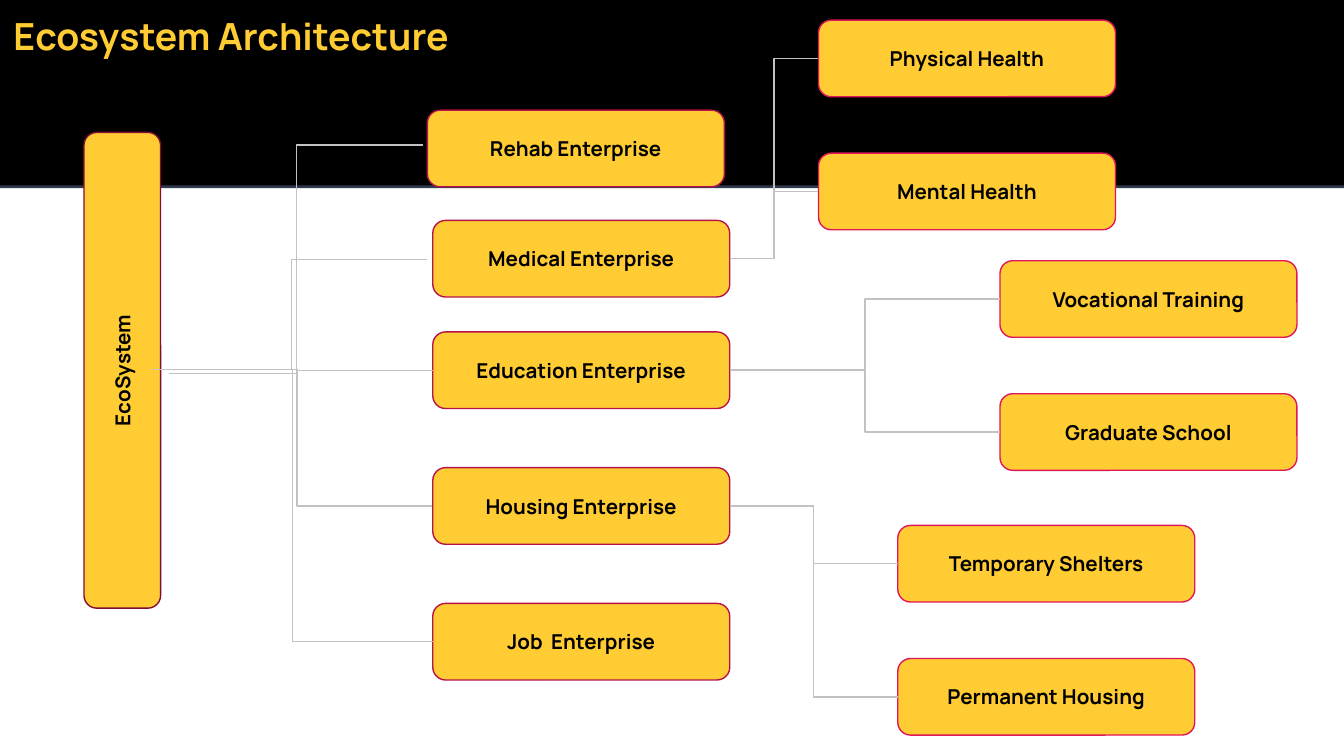
"""Build the ecosystem architecture slide."""
from dataclasses import dataclass

from lxml import etree
from pptx import Presentation
from pptx import util as u
from pptx.dml.color import RGBColor
from pptx.enum import shapes, text
from pptx.oxml import ns

PX = u.Inches(1) // 100
SPAN = 1000
WIDE, HIGH = 221, 57
STEP = 99
FONT = "Manrope"
GOLD = RGBColor(0xFF, 0xCC, 0x33)
BLACK = RGBColor(0x00, 0x00, 0x00)
NAVY = RGBColor(0x31, 0x39, 0x4D)
GREY = RGBColor(0xC2, 0xC2, 0xC2)
WINE = RGBColor(0x84, 0x0D, 0x35)
ROSE = RGBColor(0xB6, 0x12, 0x49)
PINK = RGBColor(0xE1, 0x16, 0x5A)


@dataclass(frozen=True)
class Box:
    label: str
    x: int
    y: int
    edge: RGBColor
    w: int = WIDE
    turn: int = 0


@dataclass(frozen=True)
class Link:
    x1: int
    y1: int
    x2: int
    y2: int
    goal: str = ""


TRUNK = Box("EcoSystem", -86, 247, WINE, 354, 270)
MAIN = [
    Box(f"{name} Enterprise", x, y, ROSE)
    for name, x, y in (
        ("Rehab", 318, 82),
        ("Medical", 322, 164),
        ("Education", 322, 247),
        ("Housing", 322, 348),
        ("Job ", 322, 449),
    )
]
PAIRS = {
    "Medical Enterprise": (609, 15, ("Physical Health", "Mental Health")),
    "Education Enterprise": (744, 194, ("Vocational Training", "Graduate School")),
    "Housing Enterprise": (668, 391, ("Temporary Shelters", "Permanent Housing")),
}
BACK = [
    Link(120, 275, 322, 376, "Housing Enterprise"),
    Link(116, 275, 318, 193),
]
FRONT = [
    Link(120, 275, 322, 275, "Education Enterprise"),
    Link(113, 275, 322, 477, "Job  Enterprise"),
    Link(126, 278, 315, 108),
]


def write(shape, words: str, *, size: int, color: RGBColor, align, anchor) -> None:
    """Put formatted bold text into a shape."""
    frame = shape.text_frame
    frame.word_wrap = True
    frame.auto_size = text.MSO_AUTO_SIZE.NONE
    frame.vertical_anchor = anchor
    for side in ("left", "right", "top", "bottom"):
        setattr(frame, f"margin_{side}", u.Inches(0.1))
    par = frame.paragraphs[0]
    par.alignment = align
    run = par.add_run()
    run.text = words
    font = run.font
    font.name, font.size, font.bold = FONT, u.Pt(size), True
    font.color.rgb = color


def paint(shape, color: RGBColor) -> None:
    """Give a shape a solid fill."""
    shape.fill.solid()
    shape.fill.fore_color.rgb = color


def head(slide) -> None:
    """Format the title over its band."""
    title = slide.shapes.title
    title.left, title.top, title.width, title.height = 0, 0, SPAN * PX, 138 * PX
    paint(title, BLACK)
    write(title, "Ecosystem Architecture", size=20, color=GOLD,
          align=text.PP_ALIGN.LEFT, anchor=text.MSO_ANCHOR.TOP)
    band = slide.shapes.add_shape(
        shapes.MSO_SHAPE.RECTANGLE, 0, 0, SPAN * PX, 140 * PX)
    band.shadow.inherit = False
    band.line.fill.background()
    paint(band, NAVY)
    title.element.addprevious(band.element)


def node(slide, box: Box):
    """Draw one rounded box and return it."""
    shape = slide.shapes.add_shape(
        shapes.MSO_SHAPE.ROUNDED_RECTANGLE,
        box.x * PX, box.y * PX, box.w * PX, HIGH * PX)
    shape.shadow.inherit = False
    shape.rotation = box.turn
    paint(shape, GOLD)
    shape.line.color.rgb = box.edge
    shape.line.width = u.Pt(0.75)
    write(shape, box.label, size=11, color=BLACK,
          align=text.PP_ALIGN.CENTER, anchor=text.MSO_ANCHOR.MIDDLE)
    return shape


def wire(slide, link: Link):
    """Draw one elbow connector and return it."""
    line = slide.shapes.add_connector(
        shapes.MSO_CONNECTOR.ELBOW,
        link.x1 * PX, link.y1 * PX, link.x2 * PX, link.y2 * PX)
    line.line.color.rgb = GREY
    line.line.width = u.Pt(0.75)
    etree.SubElement(line.element.spPr, ns.qn("a:effectLst"))
    return line


def main() -> None:
    """Build and save the slide."""
    deck = Presentation()
    deck.slide_width, deck.slide_height = SPAN * PX, SPAN * PX * 9 // 16
    slide = deck.slides.add_slide(deck.slide_layouts[5])
    head(slide)
    wires = [(wire(slide, link), link.goal) for link in BACK]
    node(slide, TRUNK)
    nodes = {box.label: node(slide, box) for box in MAIN}
    wires += [(wire(slide, link), link.goal) for link in FRONT]
    for line, goal in wires:
        if goal:
            line.end_connect(nodes[goal], 1)
    for root, (x, y, names) in PAIRS.items():
        for i, name in enumerate(names):
            leaf = node(slide, Box(name, x, y + i * STEP, PINK))
            line = wire(slide, Link(543, 275, x, y))
            line.begin_connect(nodes[root], 3)
            line.end_connect(leaf, 1)
    deck.save("out.pptx")


if __name__ == "__main__":
    main()
